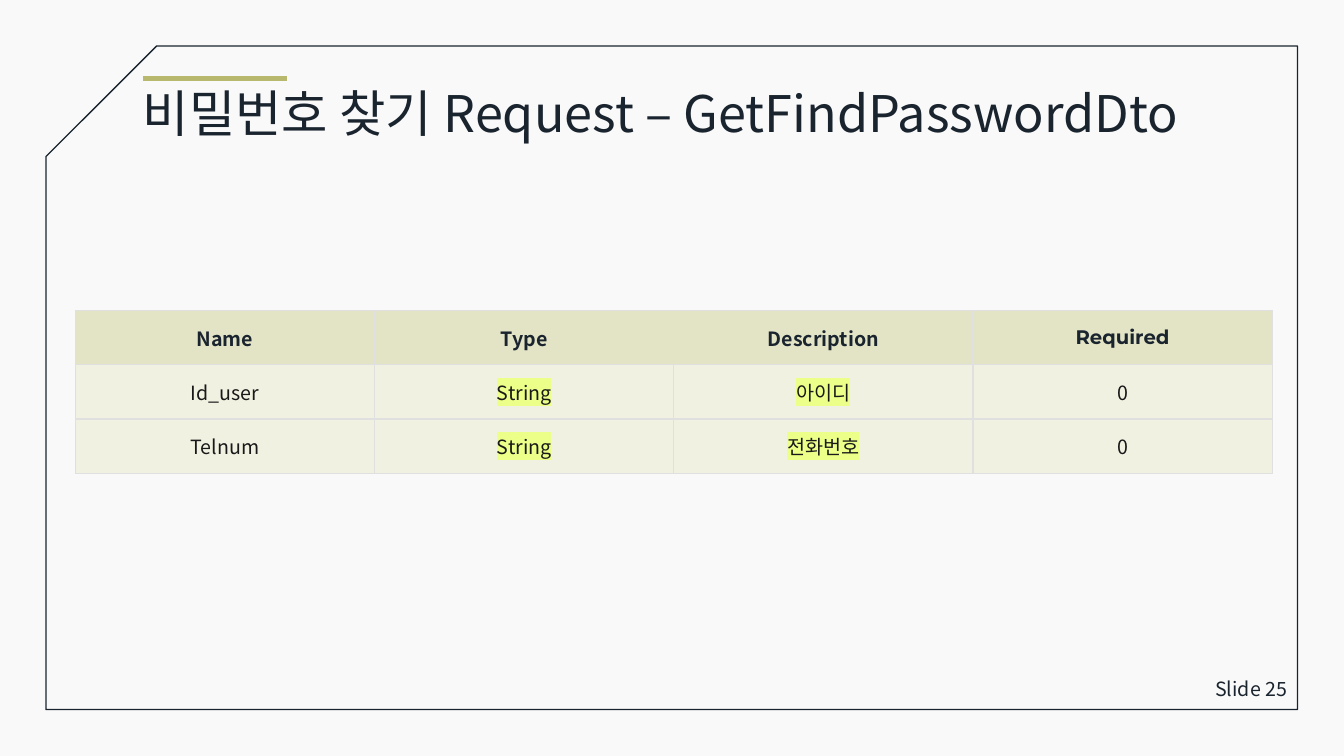
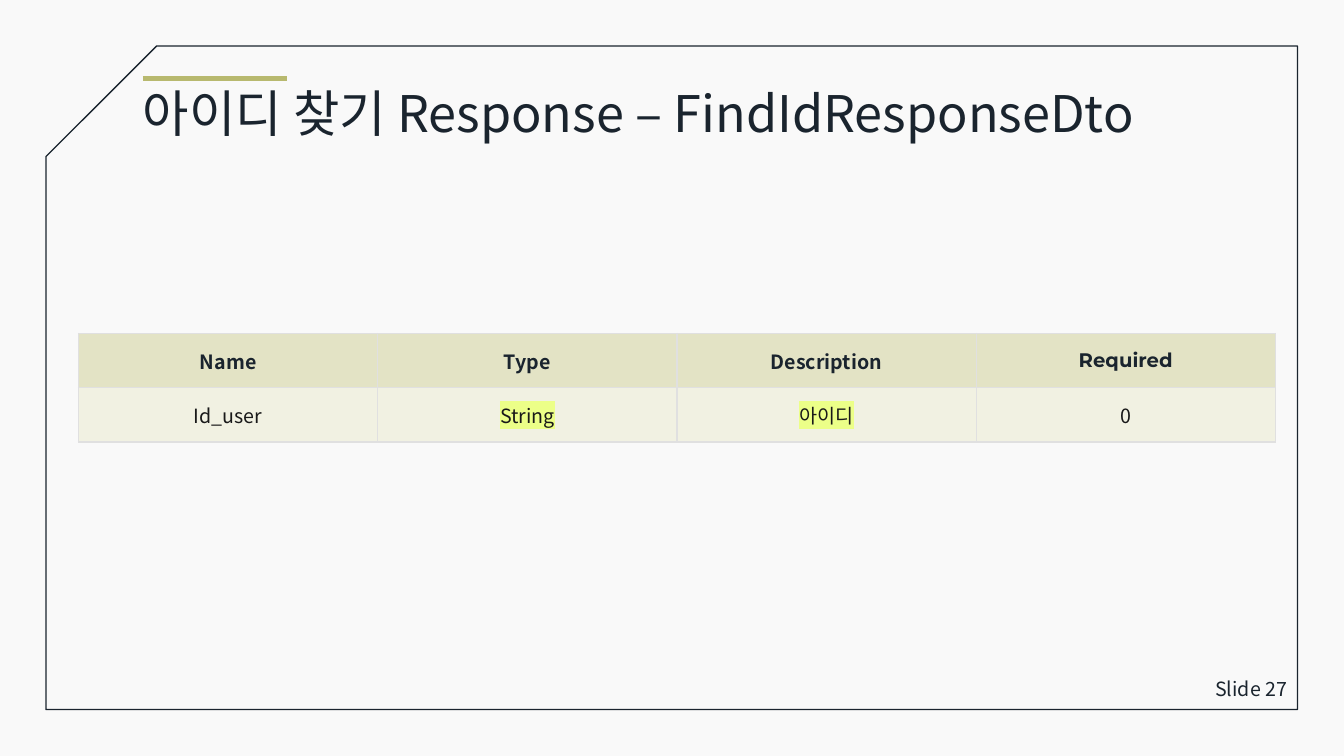
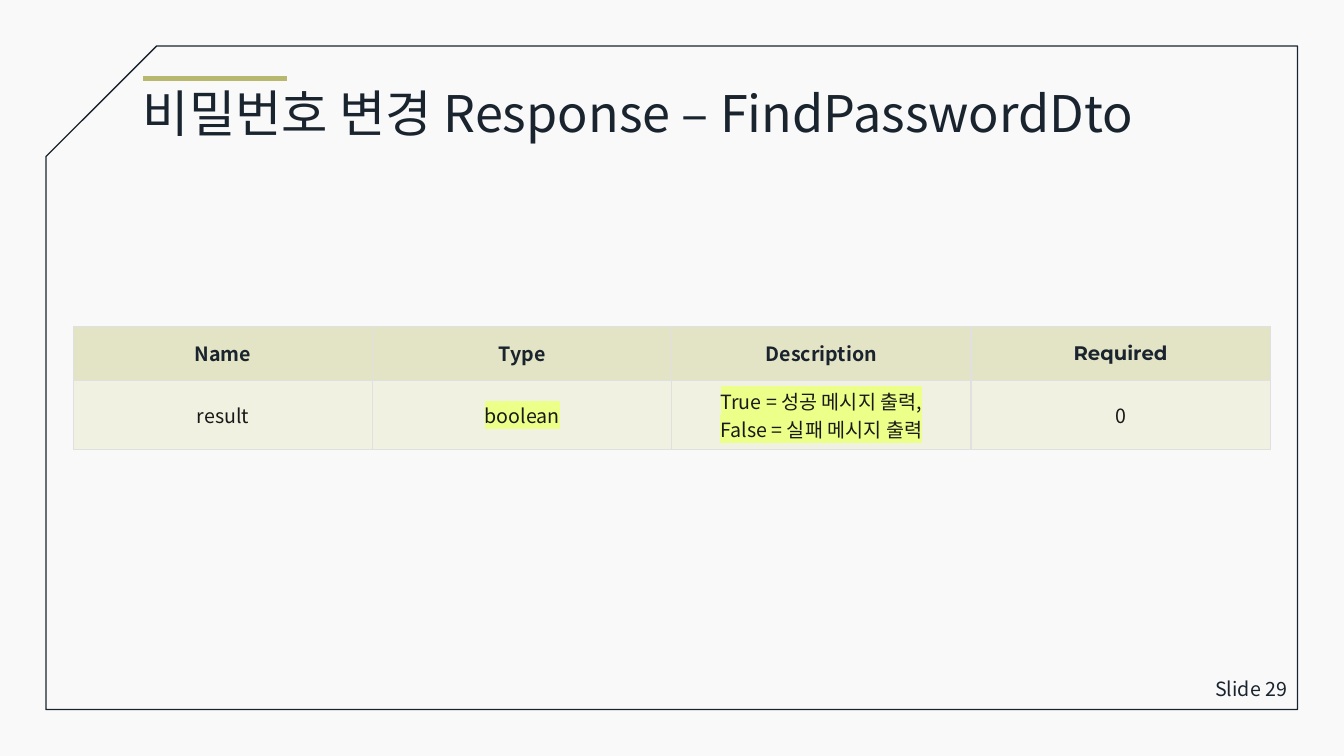
"""Build three slides describing the request and response fields of an account API."""
from lxml import etree
from pptx import Presentation
from pptx.dml.color import RGBColor
from pptx.enum.shapes import MSO_CONNECTOR, MSO_SHAPE
from pptx.enum.text import MSO_ANCHOR, PP_ALIGN
from pptx.oxml import parse_xml
from pptx.oxml.ns import nsdecls, qn
from pptx.util import Cm, Pt

SNIPPED = MSO_SHAPE.SNIP_1_RECTANGLE
STRAIGHT = MSO_CONNECTOR.STRAIGHT
MIDDLE = MSO_ANCHOR.MIDDLE
CENTER = PP_ALIGN.CENTER
RIGHT = PP_ALIGN.RIGHT

PAPER = RGBColor(0xF9, 0xF9, 0xF9)
NAVY = RGBColor(0x1A, 0x24, 0x2E)
BLACK = RGBColor(0x19, 0x19, 0x19)
OLIVE = RGBColor(0xB8, 0xB9, 0x6F)
HEADER_FILL = RGBColor(0xE3, 0xE3, 0xC5)
BODY_FILL = RGBColor(0xF1, 0xF1, 0xE2)
BORDER = RGBColor(0xE0, 0xE0, 0xE0)
HIGHLIGHT = RGBColor(0xEC, 0xFF, 0x88)

MAIN_FONT = "Noto Sans CJK KR"
REQUIRED_FONT = "Montserrat"
HEADER = ("Name", "Type", "Description", "Required")
HIGHLIGHTED = ("Type", "Description")
COLUMN_WIDTH = Cm(7.54)
ROW_HEIGHT = Cm(1.37)
TWO_LINE_ROW_HEIGHT = Cm(1.73)

SLIDES = [
    ("비밀번호 찾기 Request – GetFindPasswordDto", 25, Cm(1.9), Cm(7.82),
     [("Id_user", "String", "아이디", "0"), ("Telnum", "String", "전화번호", "0")]),
    ("아이디 찾기 Response – FindIdResponseDto", 27, Cm(1.98), Cm(8.4),
     [("Id_user", "String", "아이디", "0")]),
    ("비밀번호 변경 Response – FindPasswordDto", 29, Cm(1.85), Cm(8.22),
     [("result", "boolean", "True = 성공 메시지 출력,\nFalse = 실패 메시지 출력", "0")]),
]


def add_run(paragraph, text, size, color=NAVY, font=MAIN_FONT, bold=False, highlight=None):
    """Add one styled run to a paragraph."""
    run = paragraph.add_run()
    run.text = text
    run.font.size = Pt(size)
    run.font.bold = bold
    run.font.color.rgb = color
    run.font.name = font
    properties = run.font._element
    etree.SubElement(properties, qn("a:ea"), typeface=font)
    if highlight is not None:
        properties.find(qn("a:solidFill")).addnext(parse_xml(
            f'<a:highlight {nsdecls("a")}><a:srgbClr val="{highlight}"/></a:highlight>'))


def style_cell(cell, fill):
    """Fill and border a table cell and centre it vertically."""
    cell.vertical_anchor = MIDDLE
    cell.fill.solid()
    cell.fill.fore_color.rgb = fill
    properties = cell._tc.get_or_add_tcPr()
    for index, side in enumerate(("lnL", "lnR", "lnT", "lnB")):
        properties.insert(index, parse_xml(
            f'<a:{side} {nsdecls("a")} w="{Pt(1)}"><a:solidFill>'
            f'<a:srgbClr val="{BORDER}"/></a:solidFill></a:{side}>'))


presentation = Presentation()
presentation.slide_width = Cm(33.87)
presentation.slide_height = Cm(19.05)
background = presentation.slide_master.background.fill
background.solid()
background.fore_color.rgb = PAPER
blank_layout = presentation.slide_layouts[6]

for title, number, table_left, table_top, fields in SLIDES:
    slide = presentation.slides.add_slide(blank_layout)

    frame = slide.shapes.add_shape(SNIPPED, Cm(1.16), Cm(1.16), Cm(31.54), Cm(16.72))
    frame.shadow.inherit = False
    frame.fill.background()
    frame.line.color.rgb = NAVY
    frame.line.width = Pt(1)
    frame._element.spPr.xfrm.set("flipH", "1")

    accent = slide.shapes.add_connector(STRAIGHT, Cm(3.6), Cm(1.98), Cm(7.23), Cm(1.98))
    accent.line.color.rgb = OLIVE
    accent.line.width = Pt(4)
    etree.SubElement(accent._element.spPr, qn("a:effectLst"))

    number_box = slide.shapes.add_textbox(Cm(29.37), Cm(16.84), Cm(3.32), Cm(1.04))
    number_box.text_frame.word_wrap = True
    number_box.text_frame.vertical_anchor = MIDDLE
    paragraph = number_box.text_frame.paragraphs[0]
    paragraph.alignment = RIGHT
    add_run(paragraph, f"Slide {number}", 14)

    title_box = slide.shapes.add_textbox(Cm(3.35), Cm(2.13), Cm(29.36), Cm(1.78))
    title_box.text_frame.word_wrap = True
    paragraph = title_box.text_frame.paragraphs[0]
    paragraph.line_spacing = 0.9
    add_run(paragraph, title, 36)

    rows = [HEADER, *fields]
    heights = [TWO_LINE_ROW_HEIGHT if "\n" in "".join(values) else ROW_HEIGHT for values in rows]
    table = slide.shapes.add_table(
        len(rows), len(HEADER), table_left, table_top,
        COLUMN_WIDTH * len(HEADER), sum(heights)).table
    table.horz_banding = False
    for column in table.columns:
        column.width = COLUMN_WIDTH
    for row_index, values in enumerate(rows):
        is_header = row_index == 0
        table.rows[row_index].height = heights[row_index]
        for column_index, (heading, value) in enumerate(zip(HEADER, values)):
            cell = table.cell(row_index, column_index)
            style_cell(cell, HEADER_FILL if is_header else BODY_FILL)
            for line_index, line in enumerate(value.split("\n")):
                text_frame = cell.text_frame
                paragraph = text_frame.add_paragraph() if line_index else text_frame.paragraphs[0]
                paragraph.alignment = CENTER
                if is_header:
                    font = REQUIRED_FONT if heading == "Required" else MAIN_FONT
                    add_run(paragraph, line, 14, font=font, bold=True)
                else:
                    highlight = HIGHLIGHT if heading in HIGHLIGHTED else None
                    add_run(paragraph, line, 14, BLACK, highlight=highlight)

presentation.save("out.pptx")
